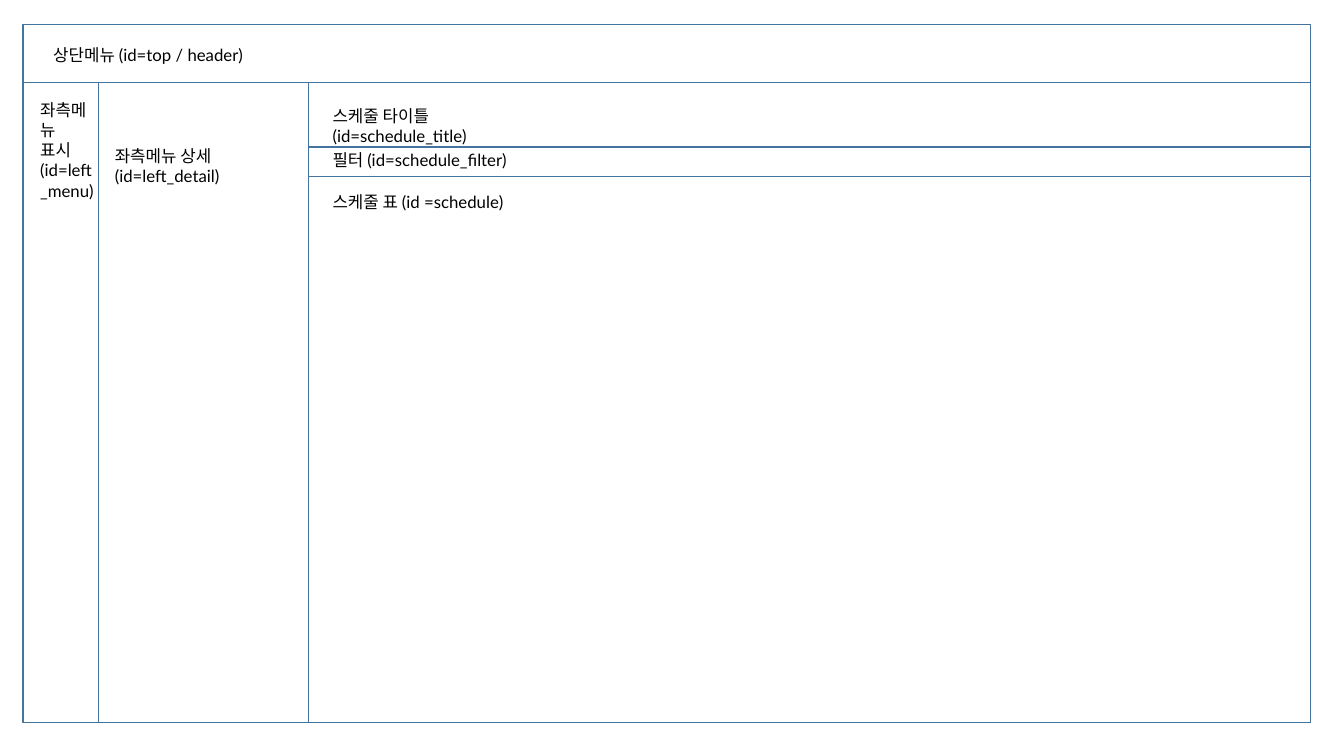
from pptx import Presentation
from pptx.dml.color import RGBColor
from pptx.enum.shapes import MSO_SHAPE
from pptx.util import Inches, Pt

RECTANGLE = MSO_SHAPE.RECTANGLE
BORDER = RGBColor(0x43, 0x73, 0x9E)
BLACK = RGBColor(0, 0, 0)
FONT = "Lato"

# Page frame and the lines that divide it, in inches
LEFT, TOP, RIGHT, BOTTOM = 0.23, 0.24, 13.0, 7.17
HEADER_BOTTOM = 0.82
DETAIL_LEFT = 0.98
SCHEDULE_LEFT = 3.06
TITLE_BOTTOM = 1.46
FILTER_BOTTOM = 1.75


def add_region(slide, left, top, right, bottom):
    """Outline one region of the page layout."""
    region = slide.shapes.add_shape(
        RECTANGLE, Inches(left), Inches(top), Inches(right - left), Inches(bottom - top))
    region.shadow.inherit = False
    region.fill.background()
    region.line.color.rgb = BORDER
    region.line.width = Pt(1)


def add_label(slide, left, top, width, lines, height=0.3):
    label = slide.shapes.add_textbox(
        Inches(left), Inches(top), Inches(width), Inches(height))
    frame = label.text_frame
    frame.word_wrap = True
    frame.text = "\n".join(lines)
    for paragraph in frame.paragraphs:
        paragraph.font.name = FONT
        paragraph.font.size = Pt(12)
        paragraph.font.color.rgb = BLACK


def add_header(slide, left, top, right, bottom):
    add_region(slide, left, top, right, bottom)
    add_label(slide, left + 0.2, top + 0.15, 2.24, ["상단메뉴 (id=top / header)"])


def add_left_menu(slide, left, top, right, bottom):
    add_region(slide, left, top, right, bottom)
    add_label(slide, left + 0.07, top + 0.12, 0.74,
              ["좌측메뉴", "표시", "(id=left_menu)"], height=0.91)


def add_left_detail(slide, left, top, right, bottom):
    add_region(slide, left, top, right, bottom)
    add_label(slide, left + 0.06, top + 0.58, 2.02, ["좌측메뉴 상세 (id=left_detail)"])


def add_schedule(slide, left, top, right, bottom):
    """Stack the title, the table and the filter strip at the table's top."""
    add_region(slide, left, top, right, TITLE_BOTTOM)
    add_region(slide, left, TITLE_BOTTOM, right, bottom)
    add_region(slide, left, TITLE_BOTTOM, right, FILTER_BOTTOM)
    label_left = left + 0.14
    add_label(slide, label_left, top + 0.18, 2.41, ["스케줄 타이틀 (id=schedule_title)"])
    add_label(slide, label_left, TITLE_BOTTOM - 0.02, 2.41, ["필터 (id=schedule_filter)"])
    add_label(slide, label_left, FILTER_BOTTOM + 0.1, 2.23, ["스케줄 표 (id =schedule)"])


def main():
    presentation = Presentation()
    presentation.slide_width = Inches(13.33)
    presentation.slide_height = Inches(7.5)
    slide = presentation.slides.add_slide(presentation.slide_layouts[6])
    add_header(slide, LEFT, TOP, RIGHT, HEADER_BOTTOM)
    add_left_menu(slide, LEFT, HEADER_BOTTOM, DETAIL_LEFT, BOTTOM)
    add_left_detail(slide, DETAIL_LEFT, HEADER_BOTTOM, SCHEDULE_LEFT, BOTTOM)
    add_schedule(slide, SCHEDULE_LEFT, HEADER_BOTTOM, RIGHT, BOTTOM)
    presentation.save("out.pptx")


if __name__ == "__main__":
    main()
